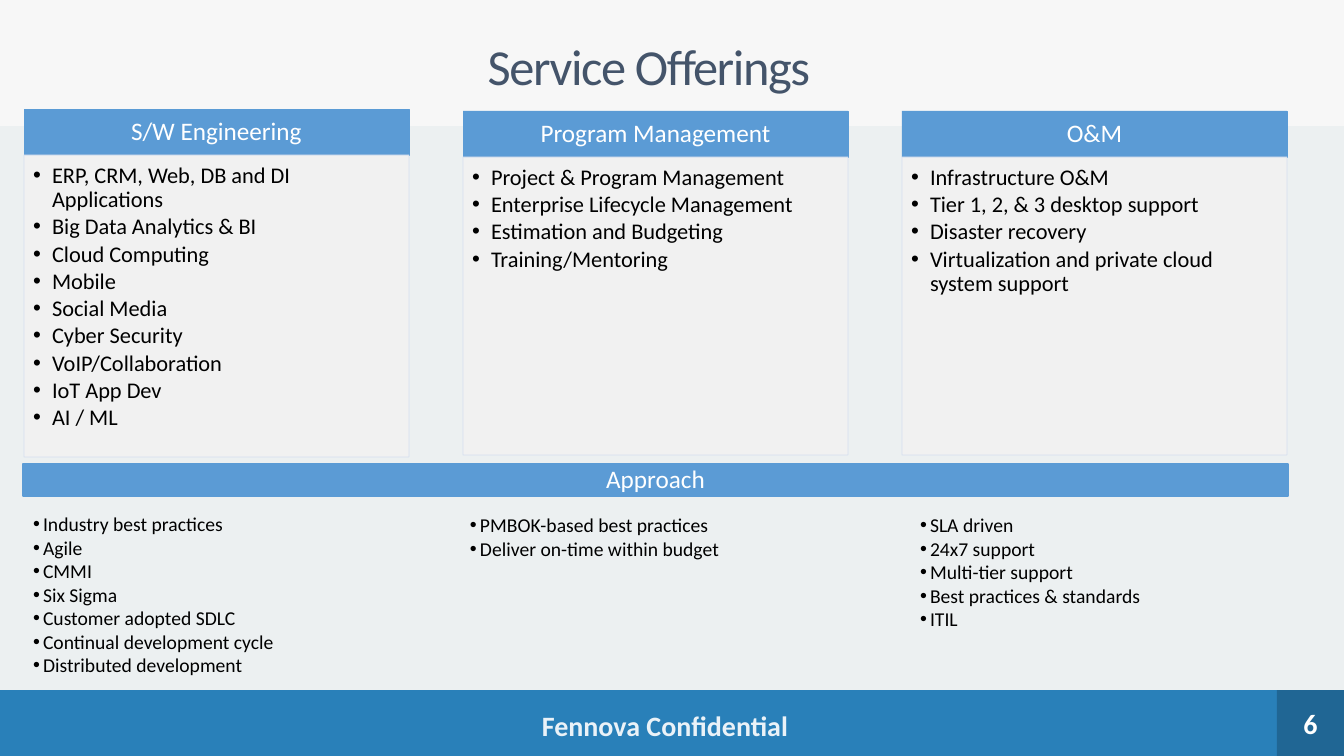
from dataclasses import dataclass

from lxml.etree import SubElement
from pptx import Presentation
from pptx.dml.color import RGBColor
from pptx.dml.fill import FillFormat
from pptx.enum.shapes import MSO_SHAPE
from pptx.enum.text import MSO_ANCHOR, PP_ALIGN
from pptx.oxml.ns import qn
from pptx.shapes.autoshape import Shape
from pptx.util import Emu, Pt

EMU_PER_PX = 914400 / 100.8
FONT = "Calibri"
BLUE, PALE_BLUE, CARD_GREY = "5B9BD5", "D2DEEF", "F2F2F2"
WHITE, BLACK = "FFFFFF", "000000"
HEADING_FORMAT = dict(size=18, color=WHITE, margins=(14, 8, 14, 8),
                      line_spacing=0.9, space_after=6)

Box = tuple[int, int, int, int]


@dataclass(frozen=True)
class Service:
    heading: str
    left: int
    top: int
    body_height: int
    offerings: list[str]
    approach_left: int
    approach_top: int
    approach_height: int
    approach: list[str]


SERVICES = [
    Service("S/W Engineering", 24, 109, 302,
            ["ERP, CRM, Web, DB and DI Applications", "Big Data Analytics & BI",
             "Cloud Computing", "Mobile", "Social Media", "Cyber Security",
             "VoIP/Collaboration", "IoT App Dev", "AI / ML"],
            23, 507, 176,
            ["Industry best practices", "Agile", "CMMI", "Six Sigma",
             "Customer adopted SDLC", "Continual development cycle",
             "Distributed development"]),
    Service("Program Management", 463, 111, 298,
            ["Project & Program Management", "Enterprise Lifecycle Management",
             "Estimation and Budgeting", "Training/Mentoring"],
            460, 508, 105,
            ["PMBOK-based best practices", "Deliver on-time within budget"]),
    Service("O&M", 902, 111, 298,
            ["Infrastructure O&M", "Tier 1, 2, & 3 desktop support",
             "Disaster recovery",
             "Virtualization and private cloud system support"],
            910, 508, 152,
            ["SLA driven", "24x7 support", "Multi-tier support",
             "Best practices & standards", "ITIL"]),
]
CARD_WIDTH, HEADING_HEIGHT, APPROACH_WIDTH = 385, 46, 386


def px(length: int) -> Emu:
    return Emu(round(length * EMU_PER_PX))


def paint(fill: FillFormat, color: str, opacity: int = 100) -> None:
    """Fill with a solid colour; opacity is in percent."""
    fill.solid()
    fill.fore_color.rgb = RGBColor.from_string(color)
    if opacity < 100:
        srgb = next(fill._xPr.iter(qn("a:srgbClr")))
        SubElement(srgb, qn("a:alpha"), val=str(opacity * 1000))


def add_panel(slide, box: Box, color: str, opacity: int = 100,
              border: str | None = None, border_width: float = 0.5) -> Shape:
    panel = slide.shapes.add_shape(MSO_SHAPE.RECTANGLE, *map(px, box))
    panel.shadow.inherit = False
    paint(panel.fill, color, opacity)
    if border:
        paint(panel.line.fill, border, opacity)
        panel.line.width = Pt(border_width)
    else:
        panel.line.fill.background()
    return panel


def write(shape: Shape, lines: list[str], *, size: int, color: str,
          opacity: int = 100, bold: bool = False, tracking: int = 0,
          align: PP_ALIGN = PP_ALIGN.CENTER,
          anchor: MSO_ANCHOR = MSO_ANCHOR.MIDDLE, margins: Box = (10, 5, 10, 5),
          bullet_indent: int = 0, line_spacing: float = 1.0,
          space_after: float = 0) -> None:
    """Write one paragraph per line; tracking is in hundredths of a point."""
    frame = shape.text_frame
    frame.word_wrap = True
    frame.vertical_anchor = anchor
    (frame.margin_left, frame.margin_top,
     frame.margin_right, frame.margin_bottom) = map(px, margins)
    for index, line in enumerate(lines):
        paragraph = frame.add_paragraph() if index else frame.paragraphs[0]
        paragraph.alignment = align
        paragraph.line_spacing = line_spacing
        paragraph.space_after = Pt(space_after)
        if bullet_indent:
            properties = paragraph._p.get_or_add_pPr()
            properties.set("marL", str(px(bullet_indent)))
            properties.set("indent", str(-px(bullet_indent)))
            SubElement(properties, qn("a:buFont"), typeface="Arial")
            SubElement(properties, qn("a:buChar"), char="•")
        run = paragraph.add_run()
        run.text = line
        run.font.name, run.font.size, run.font.bold = FONT, Pt(size), bold
        paint(run.font.fill, color, opacity)
        if tracking:
            run._r.get_or_add_rPr().set("spc", str(tracking))


def add_text(slide, box: Box, lines: list[str], **text_format) -> None:
    write(slide.shapes.add_textbox(*map(px, box)), lines, **text_format)


def add_heading(slide, box: Box, heading: str, border_width: float = 0.5) -> None:
    bar = add_panel(slide, box, BLUE, border=BLUE, border_width=border_width)
    write(bar, [heading], **HEADING_FORMAT)


def add_service(slide, service: Service) -> None:
    add_heading(slide, (service.left, service.top, CARD_WIDTH, HEADING_HEIGHT),
                service.heading)
    card = add_panel(slide, (service.left, service.top + HEADING_HEIGHT,
                             CARD_WIDTH, service.body_height),
                     CARD_GREY, opacity=90, border=PALE_BLUE)
    write(card, service.offerings, size=16, color=BLACK, align=PP_ALIGN.LEFT,
          anchor=MSO_ANCHOR.TOP, margins=(9, 9, 12, 14), bullet_indent=19,
          line_spacing=0.9, space_after=2.2)
    add_text(slide, (service.approach_left, service.approach_top,
                     APPROACH_WIDTH, service.approach_height),
             service.approach, size=14, color=BLACK, align=PP_ALIGN.LEFT,
             anchor=MSO_ANCHOR.TOP, bullet_indent=10)


def main() -> None:
    deck = Presentation()
    deck.slide_width, deck.slide_height = px(1344), px(756)
    slide = deck.slides.add_slide(deck.slide_layouts[6])
    paint(slide.background.fill, "ECF0F1")

    add_panel(slide, (0, 690, 1344, 66), "2980B9")
    add_text(slide, (518, 708, 294, 34), ["Fennova Confidential"], size=20,
             color=WHITE, opacity=90, bold=True, margins=(0, 0, 0, 0))
    page_corner = add_panel(slide, (1277, 690, 67, 66), BLACK, opacity=20)
    write(page_corner, ["6"], size=20, color=WHITE, bold=True)

    add_panel(slide, (0, 0, 1344, 126), "F7F7F7")
    add_text(slide, (44, 29, 1210, 72), ["Service Offerings"], size=36,
             color="44546A", tracking=-100)
    for service in SERVICES:
        add_service(slide, service)
    add_heading(slide, (23, 464, 1265, 32), "Approach", border_width=1)

    deck.save("out.pptx")


if __name__ == "__main__":
    main()
